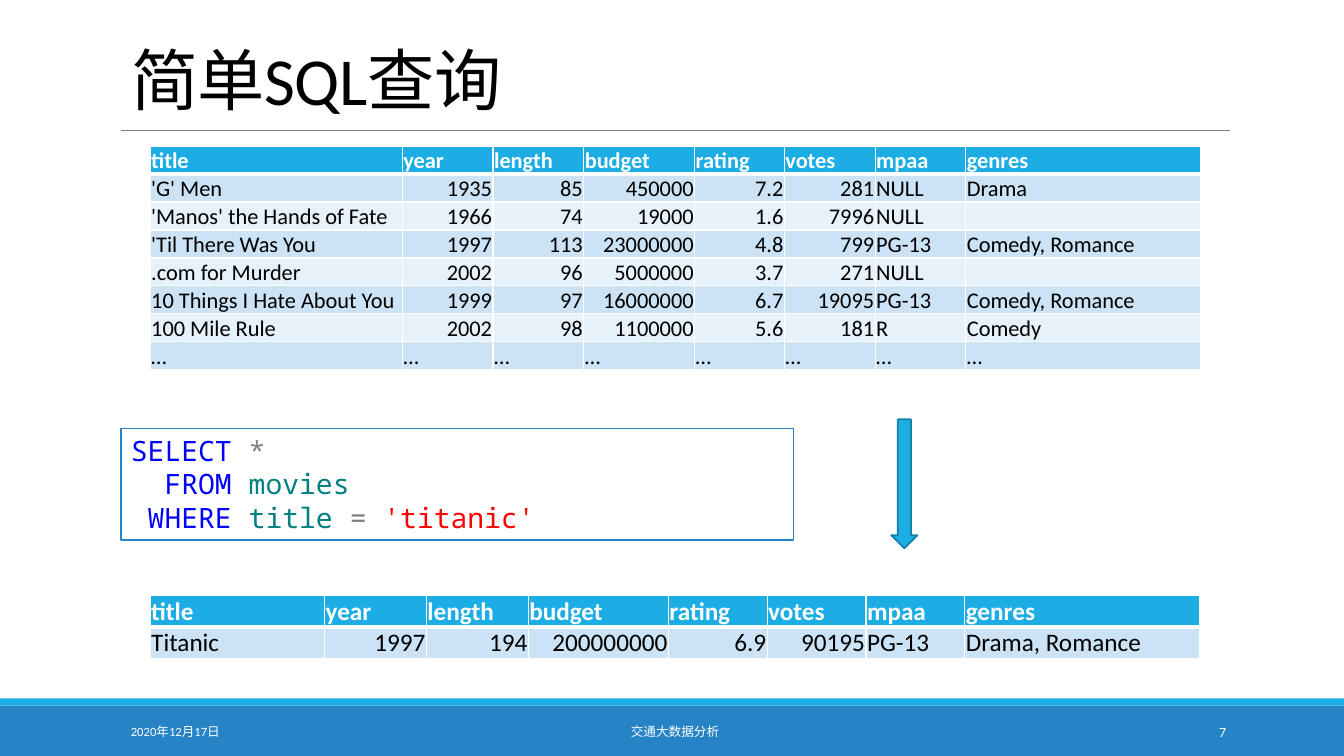
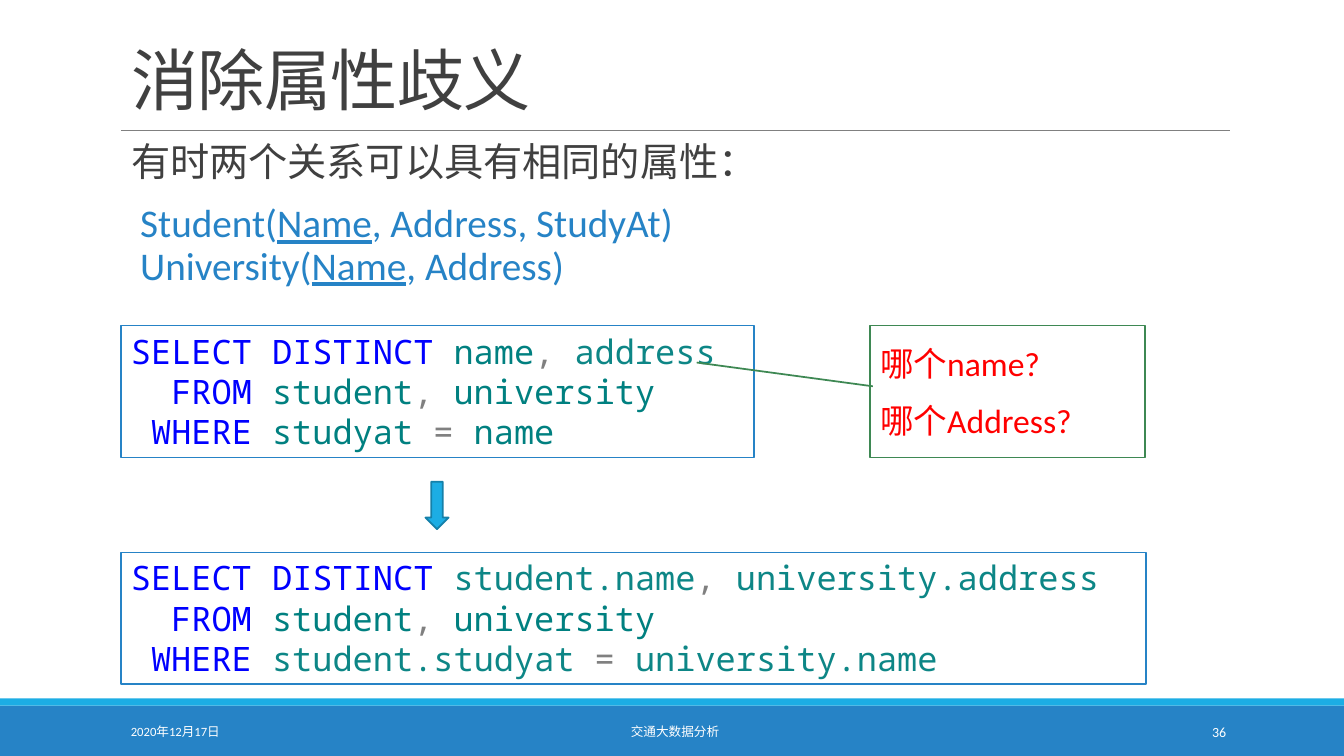
from typing import NamedTuple

from lxml import etree
from pptx import Presentation
from pptx.dml.color import RGBColor
from pptx.enum.shapes import MSO_CONNECTOR, MSO_SHAPE
from pptx.enum.text import MSO_ANCHOR, MSO_AUTO_SIZE, PP_ALIGN
from pptx.oxml.ns import qn
from pptx.util import Inches, Pt

LEFT, CENTER, RIGHT = PP_ALIGN.LEFT, PP_ALIGN.CENTER, PP_ALIGN.RIGHT
TOP, MIDDLE, BOTTOM = MSO_ANCHOR.TOP, MSO_ANCHOR.MIDDLE, MSO_ANCHOR.BOTTOM
RECTANGLE, DOWN_ARROW = MSO_SHAPE.RECTANGLE, MSO_SHAPE.DOWN_ARROW
CALLOUT = MSO_SHAPE.LINE_CALLOUT_1
TITLE_AND_CONTENT, TITLE_ONLY = 1, 5

COLORS = {
    "white": "FFFFFF", "black": "000000", "dark": "404040", "rule": "808080",
    "blue": "2683C6", "cyan": "1CADE4", "cyan_edge": "1580A9", "green": "3E8853",
    "band_dark": "CCE3F5", "band_light": "E7F1FA",
    "keyword": "0000FF", "operator": "808080", "name": "008080",
    "qualified": "0D8686", "red": "FF0000",
}
TEXT_FONT, CODE_FONT = "Calibri", "Noto Sans Mono"
PAGE_WIDTH, MARGIN, CONTENT_WIDTH = 13.33, 1.2, 11


class Area(NamedTuple):
    left: float
    top: float
    width: float
    height: float

    def lengths(self) -> list:
        return [Inches(value) for value in self]


class Span(NamedTuple):
    text: str
    color: str
    underline: bool = False


class FooterItem(NamedTuple):
    text: str
    area: Area
    align: PP_ALIGN
    size: int


class TableLook(NamedTuple):
    area: Area
    columns: list
    size: int
    anchor: MSO_ANCHOR


# Content
HEADER = ["title", "year", "length", "budget", "rating", "votes", "mpaa", "genres"]
MOVIES = [
    ["'G' Men", "1935", "85", "450000", "7.2", "281", "NULL", "Drama"],
    ["'Manos' the Hands of Fate", "1966", "74", "19000", "1.6", "7996", "NULL", ""],
    ["'Til There Was You", "1997", "113", "23000000", "4.8", "799", "PG-13",
     "Comedy, Romance"],
    [".com for Murder", "2002", "96", "5000000", "3.7", "271", "NULL", ""],
    ["10 Things I Hate About You", "1999", "97", "16000000", "6.7", "19095", "PG-13",
     "Comedy, Romance"],
    ["100 Mile Rule", "2002", "98", "1100000", "5.6", "181", "R", "Comedy"],
    ["…"] * len(HEADER),
]
RESULT = [["Titanic", "1997", "194", "200000000", "6.9", "90195", "PG-13",
           "Drama, Romance"]]

COMMA = Span(", ", "operator")
EQUALS = Span("= ", "operator")
WHERE = Span(" WHERE ", "keyword")
SELECT_DISTINCT = Span("SELECT DISTINCT ", "keyword")
FROM_BOTH = [Span("  FROM ", "keyword"), Span("student", "name"), COMMA,
             Span("university", "name")]
TITANIC_QUERY = [
    [Span("SELECT ", "keyword"), Span("*", "operator")],
    [Span("  FROM ", "keyword"), Span("movies", "name")],
    [WHERE, Span("title ", "name"), EQUALS, Span("'titanic'", "red")],
]
AMBIGUOUS_QUERY = [
    [SELECT_DISTINCT, Span("name", "name"), COMMA, Span("address", "qualified")],
    FROM_BOTH,
    [WHERE, Span("studyat ", "name"), EQUALS, Span("name", "name")],
]
QUALIFIED_QUERY = [
    [SELECT_DISTINCT, Span("student.name", "qualified"), COMMA,
     Span("university.address", "qualified")],
    FROM_BOTH,
    [WHERE, Span("student.studyat ", "qualified"), EQUALS,
     Span("university.name", "qualified")],
]
INTRO = [Span("有时两个关系可以具有相同的属性：", "dark")]
SCHEMAS = [
    Span("Student(", "blue"), Span("Name", "blue", True),
    Span(", Address, StudyAt)\vUniversity(", "blue"), Span("Name", "blue", True),
    Span(", Address)", "blue"),
]


# Text helpers
def rgb(name: str) -> RGBColor:
    return RGBColor.from_string(COLORS[name])


def style_font(font, size: float, color: str, name: str = TEXT_FONT) -> None:
    font.size, font.name = Pt(size), name
    font.color.rgb = rgb(color)


def write_spans(para, spans: list, size: float, name: str = TEXT_FONT) -> None:
    for span in spans:
        for position, piece in enumerate(span.text.split("\v")):
            if position:
                para.add_line_break()
            run = para.add_run()
            run.text = piece
            style_font(run.font, size, span.color, name)
            if span.underline:
                run.font.underline = True


def write_lines(frame, lines: list, size: float, name: str = TEXT_FONT) -> None:
    for index, spans in enumerate(lines):
        para = frame.add_paragraph() if index else frame.paragraphs[0]
        para.alignment = LEFT
        write_spans(para, spans, size, name)


def place(shape, area: Area) -> None:
    shape.left, shape.top, shape.width, shape.height = area.lengths()


# Shapes
def add_block(page, kind: MSO_SHAPE, area: Area, fill: str, line: str = ""):
    shape = page.shapes.add_shape(kind, *area.lengths())
    shape.shadow.inherit = False
    shape.fill.solid()
    shape.fill.fore_color.rgb = rgb(fill)
    if line:
        shape.line.color.rgb = rgb(line)
        shape.line.width = Pt(1.25)
    else:
        shape.line.fill.background()
    return shape


def add_down_arrow(page, area: Area) -> None:
    add_block(page, DOWN_ARROW, area, "cyan", "cyan_edge")


def add_code(page, area: Area, lines: list, size: float) -> None:
    box = add_block(page, RECTANGLE, area, "white", "blue")
    box.text_frame.word_wrap = True
    box.text_frame.vertical_anchor = TOP
    write_lines(box.text_frame, lines, size, CODE_FONT)


# Tables
def set_borders(cell, bottom: float, top: float) -> None:
    properties = cell._tc.get_or_add_tcPr()
    for tag, width in (("lnL", 1), ("lnR", 1), ("lnT", top), ("lnB", bottom)):
        line = etree.SubElement(properties, qn(f"a:{tag}"), w=str(Pt(width)))
        fill = etree.SubElement(line, qn("a:solidFill"))
        etree.SubElement(fill, qn("a:srgbClr"), val=COLORS["white"])


def fill_cell(cell, text: str, row: int, look: TableLook) -> None:
    set_borders(cell, bottom=1 if row else 3, top=3 if row == 1 else 1)
    cell.margin_left = cell.margin_top = cell.margin_right = Inches(0.01)
    cell.margin_bottom = 0
    cell.vertical_anchor = look.anchor
    cell.fill.solid()
    band = "band_dark" if row % 2 else "band_light"
    cell.fill.fore_color.rgb = rgb(band if row else "cyan")
    para = cell.text_frame.paragraphs[0]
    if not text:
        para._p.get_or_add_endParaRPr().set("sz", str(look.size * 100))
        return
    para.alignment = RIGHT if text.replace(".", "").isdigit() else LEFT
    write_spans(para, [Span(text, "black" if row else "white")], look.size)
    para.runs[0].font.bold = row == 0


def add_movie_table(page, look: TableLook, records: list) -> None:
    rows = [HEADER, *records]
    table = page.shapes.add_table(len(rows), len(HEADER), *look.area.lengths()).table
    table.horz_banding = False
    for column, width in zip(table.columns, look.columns):
        column.width = Inches(width)
    for index, values in enumerate(rows):
        table.rows[index].height = Inches(look.area.height / len(rows))
        for column, text in enumerate(values):
            fill_cell(table.cell(index, column), text, index, look)


# Shared page frame
def add_footer(page, item: FooterItem) -> None:
    box = page.shapes.add_textbox(*item.area.lengths())
    frame = box.text_frame
    frame.word_wrap = True
    frame.vertical_anchor = MIDDLE
    para = frame.paragraphs[0]
    para.alignment = item.align
    write_spans(para, [Span(item.text, "white")], item.size)


def add_page(deck, layout: int, title: str, title_color: str, number: int):
    page = deck.slides.add_slide(deck.slide_layouts[layout])
    add_block(page, RECTANGLE, Area(0, 7, PAGE_WIDTH, 0.5), "blue")
    add_block(page, RECTANGLE, Area(0, 6.93, PAGE_WIDTH, 0.07), "cyan")
    rule = page.shapes.add_connector(
        MSO_CONNECTOR.STRAIGHT, Inches(MARGIN), Inches(1.29),
        Inches(MARGIN + CONTENT_WIDTH), Inches(1.29))
    rule.line.color.rgb = rgb("rule")
    rule.line.width = Pt(0.5)
    etree.SubElement(rule._element.spPr, qn("a:effectLst"))

    heading = page.shapes.title
    place(heading, Area(MARGIN, 0.14, CONTENT_WIDTH, 1.09))
    frame = heading.text_frame
    frame.text = title
    frame.auto_size = MSO_AUTO_SIZE.NONE
    frame.vertical_anchor = BOTTOM
    para = frame.paragraphs[0]
    para.alignment, para.line_spacing = LEFT, 0.85
    style_font(para.runs[0].font, 48, title_color)
    para.runs[0]._r.get_or_add_rPr().set("spc", "-50")

    for item in (
        FooterItem("2020年12月17日", Area(MARGIN, 7.06, 2.7, 0.4), LEFT, 9),
        FooterItem("交通大数据分析", Area(4.06, 7.06, 5.27, 0.4), CENTER, 9),
        FooterItem(str(number), Area(10.83, 7.06, 1.43, 0.4), RIGHT, 10),
    ):
        add_footer(page, item)
    return page


# Slides
def build_simple_query(deck) -> None:
    page = add_page(deck, TITLE_ONLY, "简单SQL查询", "black", 7)
    movies = TableLook(Area(1.49, 1.45, 10.41, 2.22),
                       [2.5, 0.9, 0.9, 1.1, 0.89, 0.9, 0.9, 2.33], 16, MIDDLE)
    result = TableLook(Area(1.49, 5.91, 10.41, 0.62),
                       [1.73, 1.01, 1.01, 1.39, 0.98, 0.98, 0.98, 2.33], 18, BOTTOM)
    add_movie_table(page, movies, MOVIES)
    add_movie_table(page, result, RESULT)
    add_down_arrow(page, Area(8.84, 4.16, 0.26, 1.28))
    add_code(page, Area(MARGIN, 4.25, 6.67, 1.11), TITANIC_QUERY, 20)


def build_ambiguity(deck) -> None:
    page = add_page(deck, TITLE_AND_CONTENT, "消除属性歧义", "dark", 36)
    body = page.placeholders[1]
    place(body, Area(MARGIN, 1.36, CONTENT_WIDTH, 5.53))
    frame = body.text_frame
    frame.auto_size = MSO_AUTO_SIZE.NONE
    frame.margin_left = frame.margin_right = 0
    write_lines(frame, [INTRO, SCHEMAS], 28)
    for para, indent, before in zip(frame.paragraphs, (0.1, 0.19), (0, 12)):
        properties = para._p.get_or_add_pPr()
        properties.set("marL", str(Inches(indent)))
        properties.set("indent", "0")
        etree.SubElement(properties, qn("a:buNone"))
        para.line_spacing = 0.9
        para.space_before, para.space_after = Pt(before), Pt(2)

    add_code(page, Area(MARGIN, 3.23, 6.28, 1.31), AMBIGUOUS_QUERY, 24)
    callout = add_block(page, CALLOUT, Area(8.63, 3.23, 2.73, 1.31), "white", "green")
    for index, value in enumerate((0.46, 0.01, 0.28, -0.63)):
        callout.adjustments[index] = value
    callout.text_frame.vertical_anchor = MIDDLE
    questions = [[Span(f"哪个{name}?", "red")] for name in ("name", "Address")]
    write_lines(callout.text_frame, questions, 24)
    for para in callout.text_frame.paragraphs:
        para.space_after = Pt(12)
    add_code(page, Area(MARGIN, 5.48, 10.17, 1.31), QUALIFIED_QUERY, 24)
    add_down_arrow(page, Area(4.22, 4.78, 0.23, 0.47))


def main() -> None:
    deck = Presentation()
    deck.slide_width, deck.slide_height = Inches(PAGE_WIDTH), Inches(7.5)
    build_simple_query(deck)
    build_ambiguity(deck)
    deck.save("out.pptx")


if __name__ == "__main__":
    main()
